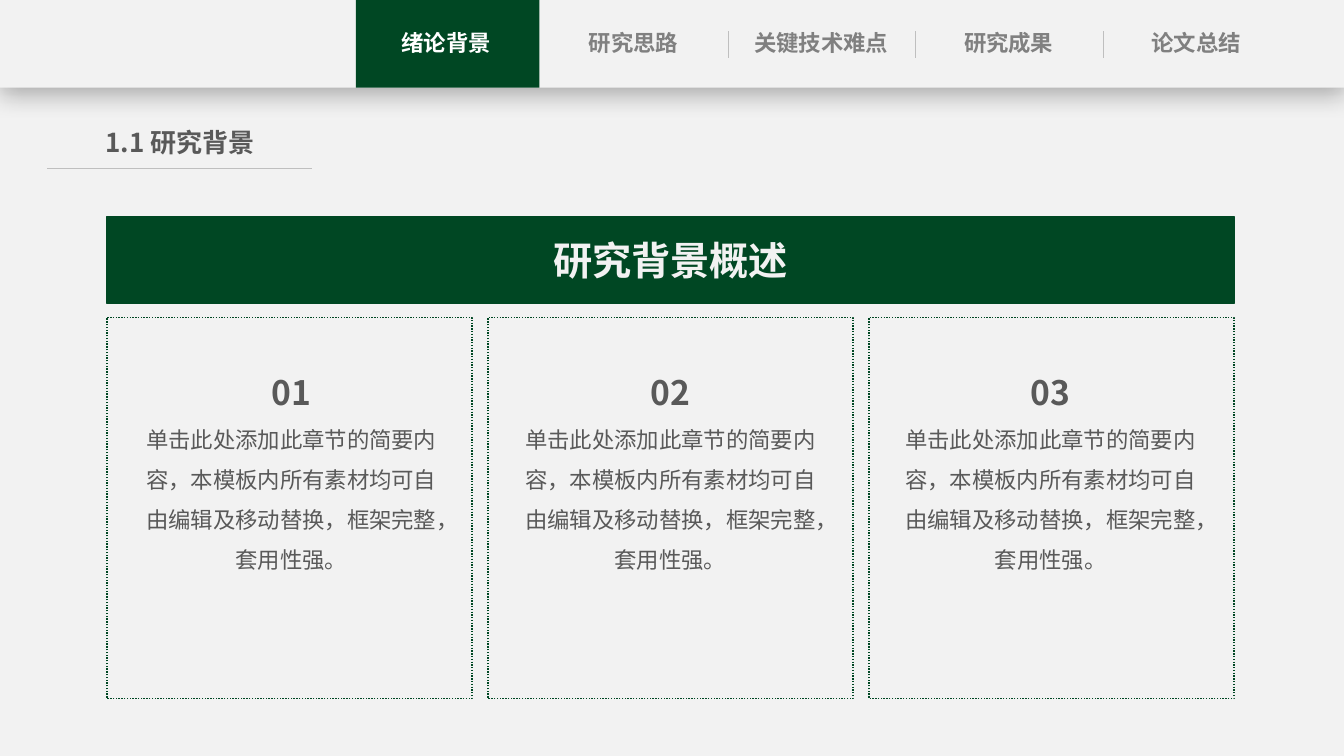
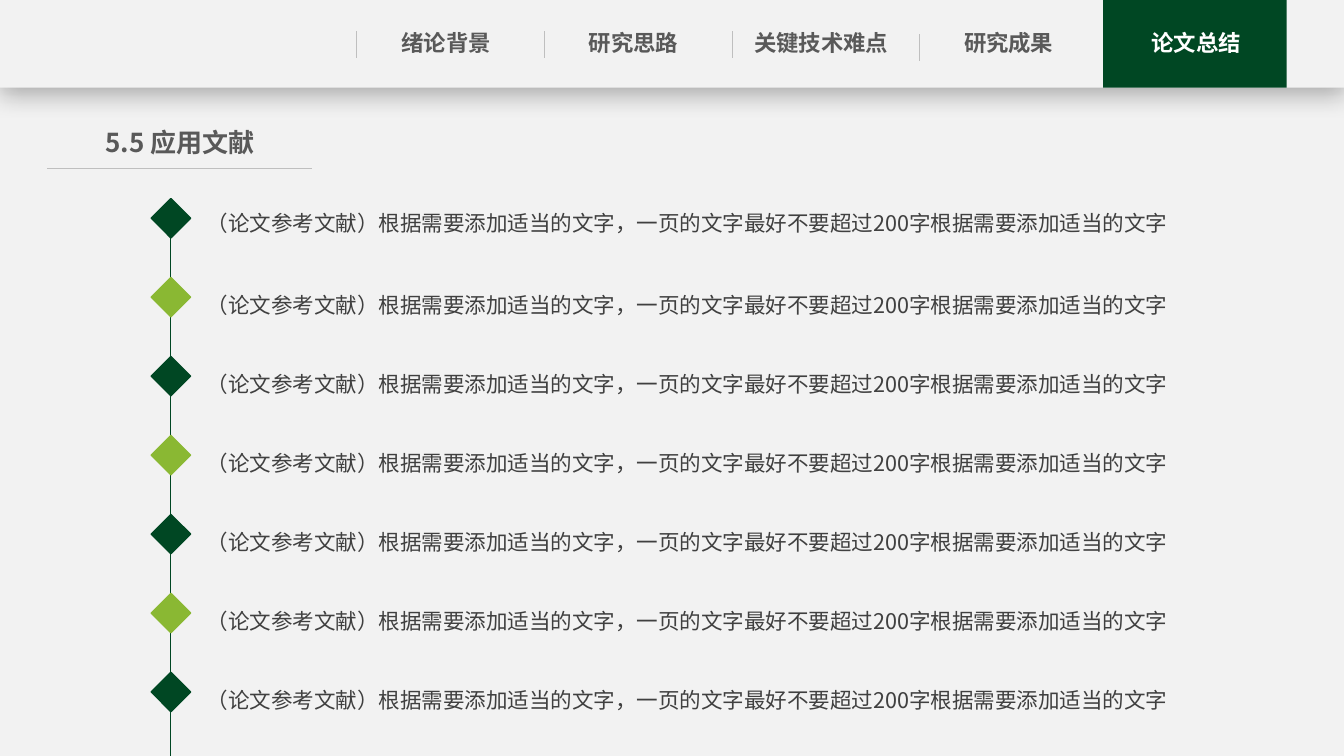
from lxml import etree
from pptx import Presentation, util as u
from pptx.dml.color import RGBColor
from pptx.enum import dml, shapes, text
from pptx.oxml.ns import qn


class Theme:
    font = "Noto Sans CJK SC"
    paper = "F2F2F2"
    white = "FFFFFF"
    green = "004723"
    lime = "8AB833"
    rule = "BFBFBF"
    muted = "808080"
    ink = "595959"
    body_ink = "404040"
    tab_size, heading_size, banner_size = 16, 18.6, 28
    number_size, card_size, reference_size = 24, 16, 15.4


SLIDE_W, SLIDE_H, NAV_H = 13.33, 7.5, 0.87
SECTIONS = ["绪论背景", "研究思路", "关键技术难点", "研究成果", "论文总结"]
TAB_LEFT, TAB_W, TAB_PITCH = 3.53, 1.82, 1.86
BACKGROUND = {
    "active": 0, "tab_color": Theme.muted, "heading": "1.1 研究背景",
    "separators": [(7.22, 0.31), (9.08, 0.31), (10.94, 0.31)],
}
REFERENCES = {
    "active": 4, "tab_color": Theme.ink, "heading": "5.5 应用文献",
    "separators": [(3.53, 0.31), (5.4, 0.31), (7.26, 0.31), (9.12, 0.34)],
}
BANNER = "研究背景概述"
CARD_TEXT = "单击此处添加此章节的简要内容，本模板内所有素材均可自由编辑及移动替换，框架完整，套用性强。"
CARDS = [("01", 1.37), ("02", 5.13), ("03", 8.9)]
REFERENCE = "（论文参考文献）根据需要添加适当的文字，一页的文字最好不要超过200字根据需要添加适当的文字"
REFERENCE_COUNT = 7


def rgb(value):
    return RGBColor.from_string(value)


def inches(*values):
    return [u.Inches(value) for value in values]


def add_block(slide, box, fill=None, line=None, dash=None, kind=shapes.MSO_SHAPE.RECTANGLE):
    block = slide.shapes.add_shape(kind, *inches(*box))
    block.shadow.inherit = False
    if fill:
        block.fill.solid()
        block.fill.fore_color.rgb = rgb(fill)
    else:
        block.fill.background()
    if line:
        block.line.color.rgb = rgb(line)
        block.line.width = u.Pt(1)
        if dash:
            block.line.dash_style = dash
    else:
        block.line.fill.background()
    return block


def add_rule(slide, start, end, color):
    rule = slide.shapes.add_connector(shapes.MSO_CONNECTOR.STRAIGHT, *inches(*start, *end))
    rule.line.color.rgb = rgb(color)
    rule.line.width = u.Pt(0.5)
    etree.SubElement(rule._element.spPr, qn("a:effectLst"))


def write(frame, lines, align=text.PP_ALIGN.CENTER, spacing=None):
    frame.word_wrap = True
    for index, (words, size, color, bold) in enumerate(lines):
        paragraph = frame.paragraphs[0] if index == 0 else frame.add_paragraph()
        paragraph.alignment = align
        if spacing:
            paragraph.line_spacing = spacing
        run = paragraph.add_run()
        run.text = words
        run.font.name = Theme.font
        run.font.size = u.Pt(size)
        run.font.bold = bold
        run.font.color.rgb = rgb(color)
        east_asian = etree.SubElement(run._r.get_or_add_rPr(), qn("a:ea"))
        east_asian.set("typeface", Theme.font)


def add_text(slide, box, lines, margins=(0, 0.05, 0, 0.05), grow=True, **style):
    frame = slide.shapes.add_textbox(*inches(*box)).text_frame
    (frame.margin_left, frame.margin_top,
     frame.margin_right, frame.margin_bottom) = inches(*margins)
    write(frame, lines, **style)
    frame.auto_size = text.MSO_AUTO_SIZE.SHAPE_TO_FIT_TEXT if grow else text.MSO_AUTO_SIZE.NONE


def cast_shadow(block):
    effects = block._element.spPr.find(qn("a:effectLst"))
    shadow = etree.SubElement(effects, qn("a:outerShdw"), blurRad=str(u.Pt(18)),
                              dist=str(u.Pt(4)), dir="5400000", algn="t", rotWithShape="0")
    color = etree.SubElement(shadow, qn("a:srgbClr"), val="000000")
    etree.SubElement(color, qn("a:alpha"), val="29000")


def add_page(prs, page):
    slide = prs.slides.add_slide(prs.slide_layouts[6])
    cast_shadow(add_block(slide, (0, 0, SLIDE_W, NAV_H), Theme.paper))
    active_left = TAB_LEFT + page["active"] * (10.94 - TAB_LEFT) / (len(SECTIONS) - 1)
    add_block(slide, (active_left, 0, TAB_W, NAV_H), Theme.green)
    for index, section in enumerate(SECTIONS):
        color = Theme.white if index == page["active"] else page["tab_color"]
        add_text(slide, (3.69 + index * TAB_PITCH, 0.24, 1.47, 0.38),
                 [(section, Theme.tab_size, color, True)])
    for left, top in page["separators"]:
        add_rule(slide, (left, top), (left, top + 0.27), Theme.rule)
    add_rule(slide, (0.47, 1.67), (3.09, 1.67), Theme.rule)
    add_text(slide, (0.75, 1.21, 2.07, 0.42),
             [(page["heading"], Theme.heading_size, Theme.ink, True)])
    return slide


def build_background(prs):
    slide = add_page(prs, BACKGROUND)
    left, width, card_w = 1.06, 11.18, 3.62
    banner = add_block(slide, (left, 2.15, width, 0.86), Theme.green, Theme.green)
    banner.text_frame.vertical_anchor = text.MSO_ANCHOR.MIDDLE
    write(banner.text_frame, [(BANNER, Theme.banner_size, Theme.paper, True)])
    pitch = (width - card_w) / (len(CARDS) - 1)
    for index, (number, text_left) in enumerate(CARDS):
        add_block(slide, (left + index * pitch, 3.15, card_w, 3.78),
                  line=Theme.green, dash=dml.MSO_LINE.ROUND_DOT)
        add_text(slide, (text_left, 3.49, 3.04, 2.22),
                 [(number, Theme.number_size, Theme.ink, True),
                  (CARD_TEXT, Theme.card_size, Theme.ink, False)],
                 margins=(0, 0, 0, 0), spacing=1.5)


def build_references(prs):
    slide = add_page(prs, REFERENCES)
    add_rule(slide, (1.69, 2.02), (1.69, SLIDE_H), Theme.green)
    pitch = (6.67 - 1.97) / (REFERENCE_COUNT - 1)
    for index in range(REFERENCE_COUNT):
        color = Theme.lime if index % 2 else Theme.green
        add_block(slide, (1.5, 1.97 + index * pitch, 0.39, 0.39), color, color,
                  kind=shapes.MSO_SHAPE.DIAMOND)
        text_top = 2.64 + (index - 1) * pitch if index else 1.82
        add_text(slide, (2.05, text_top, 9.93, 0.62),
                 [(REFERENCE, Theme.reference_size, Theme.body_ink, False)],
                 margins=(0, 0.13, 0.17, 0.09), grow=False,
                 align=text.PP_ALIGN.LEFT, spacing=1.5)


def main():
    prs = Presentation()
    prs.slide_width, prs.slide_height = inches(SLIDE_W, SLIDE_H)
    backdrop = prs.slide_master.background.fill
    backdrop.solid()
    backdrop.fore_color.rgb = rgb(Theme.paper)
    build_background(prs)
    build_references(prs)
    prs.save("out.pptx")


if __name__ == "__main__":
    main()
